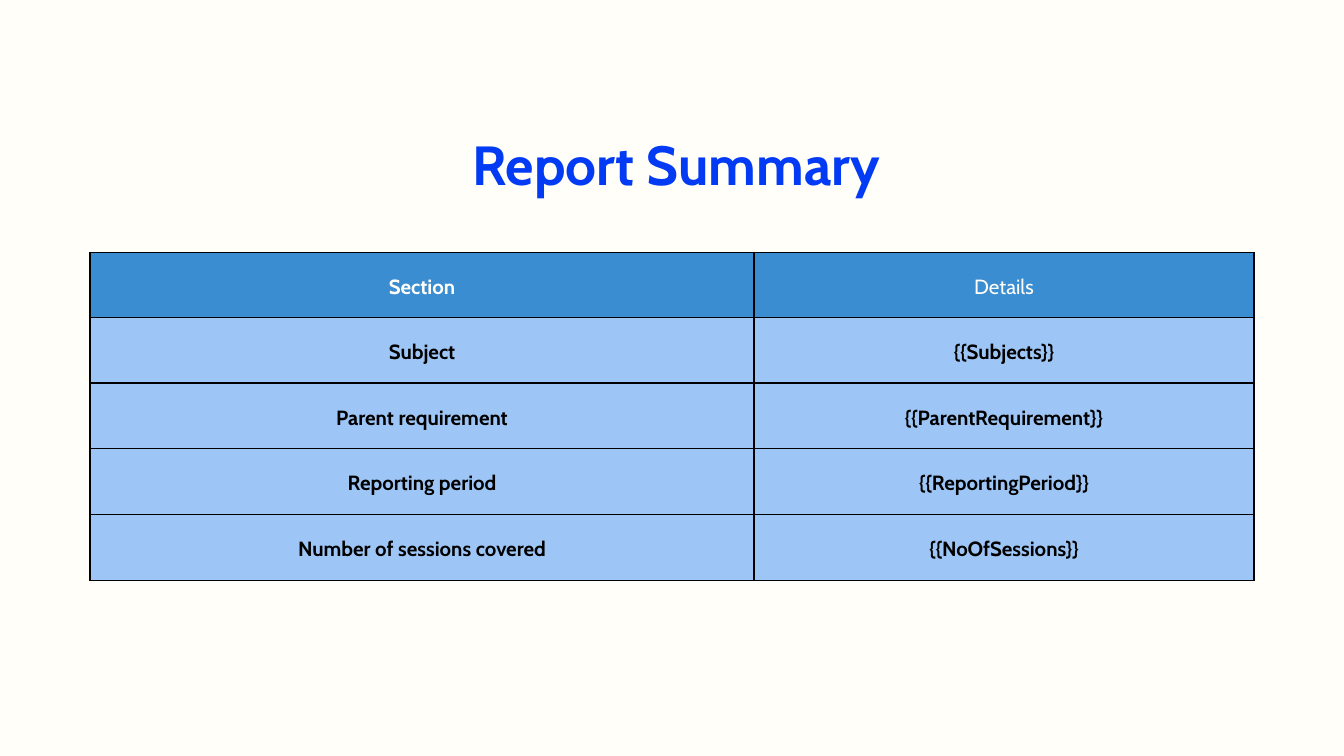
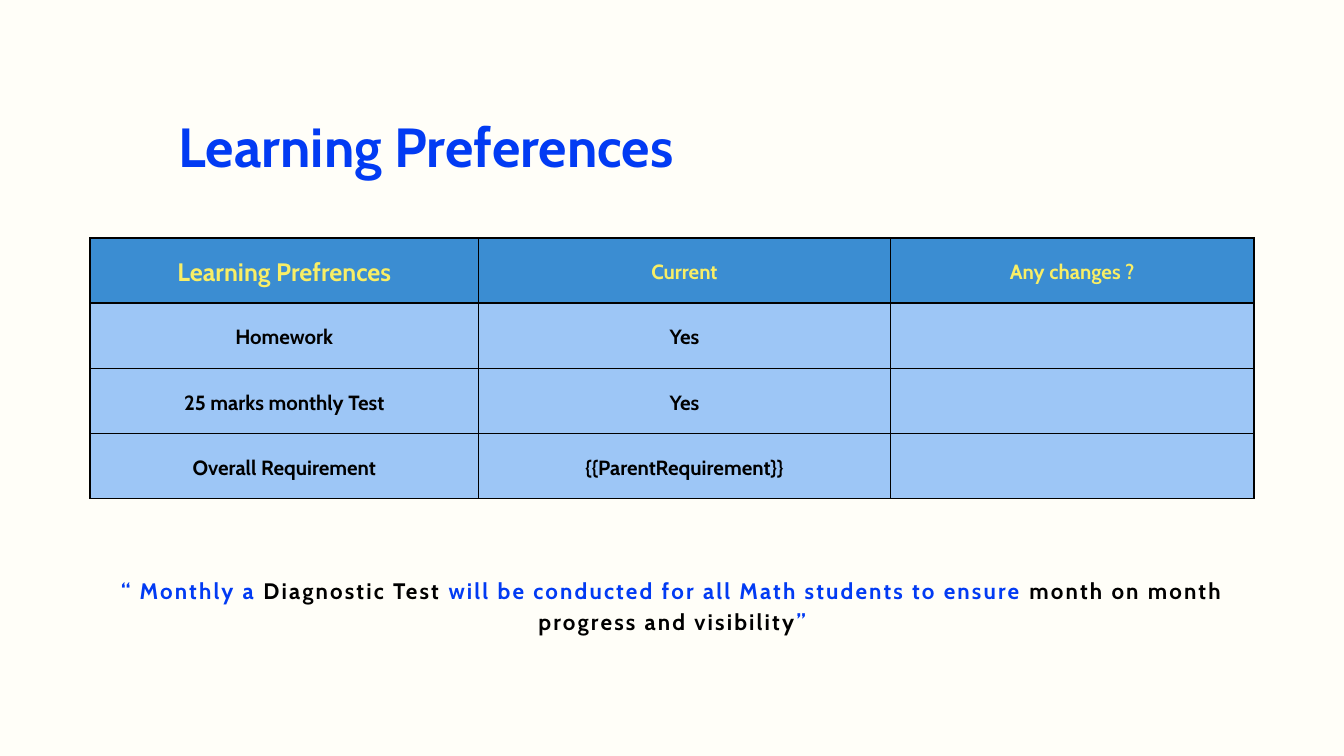
"""Build the report summary and learning preferences slides."""
from dataclasses import dataclass

from lxml.etree import SubElement
from pptx import Presentation
from pptx.dml.color import RGBColor
from pptx.enum.text import MSO_ANCHOR, MSO_AUTO_SIZE, PP_ALIGN
from pptx.oxml.ns import qn
from pptx.util import Pt

EMU_PER_PX = 9144


@dataclass(frozen=True)
class Theme:
    font: str = "Cabin"
    paper: str = "FFFEF8"
    blue: str = "023BF3"
    header: str = "3B8DD2"
    body: str = "9DC6F6"
    yellow: str = "F8EE66"
    black: str = "000000"
    title_size: int = 59
    quote_size: int = 24
    large_size: int = 27
    cell_size: int = 22
    title_leading: float = 82.6
    quote_leading: float = 33.6
    large_leading: float = 37.8
    cell_leading: float = 30.8
    quote_tracking: float = 2.3
    border: float = 1.5


THEME = Theme()
PAGE_SIZE = (2000, 1125)
TABLE_LEFT, TABLE_WIDTH = 134, 1732
CELL_MARGIN = 12

SUMMARY = {
    "title": ("Report Summary", (703, 177, 678, 110)),
    "top": 376,
    "columns": (988, 744),
    "row_heights": (97, 97, 98, 98, 98),
    "header_color": THEME.paper,
    "large_cells": (),
    "plain_cells": ("Details",),
    "rows": (
        ("Section", "Details"),
        ("Subject", "{{Subjects}}"),
        ("Parent requirement", "{{ParentRequirement}}"),
        ("Reporting period", "{{ReportingPeriod}}"),
        ("Number of sessions covered", "{{NoOfSessions}}"),
    ),
    "quote": (),
}
PREFERENCES = {
    "title": ("Learning Preferences", (266, 151, 1159, 110)),
    "top": 354,
    "columns": (578, 613, 541),
    "row_heights": (97,) * 4,
    "header_color": THEME.yellow,
    "large_cells": ("Learning Prefrences",),
    "plain_cells": (),
    "rows": (
        ("Learning Prefrences", "Current", "Any changes ?"),
        ("Homework", "Yes", ""),
        ("25 marks monthly Test", "Yes", ""),
        ("Overall Requirement", "{{ParentRequirement}}", ""),
    ),
    "quote": (
        ("“ Monthly a ", THEME.blue),
        ("Diagnostic Test", THEME.black),
        (" will be conducted for all Math students to ensure", THEME.blue),
        (" month on month progress and visibility", THEME.black),
        ("”", THEME.blue),
    ),
}
QUOTE_BOX = (TABLE_LEFT, 852, TABLE_WIDTH, 89)


def px(*lengths):
    return [length * EMU_PER_PX for length in lengths]


def set_margins(holder, margin):
    holder.margin_left = holder.margin_right = margin
    holder.margin_top = holder.margin_bottom = margin


def write(para, runs, size, leading, align, bold=True, tracking=0):
    para.alignment = align
    para.line_spacing = Pt(leading)
    for text, color in runs:
        span = para.add_run()
        span.text = text
        span.font.name = THEME.font
        span.font.size = Pt(size)
        span.font.bold = bold
        span.font.color.rgb = RGBColor.from_string(color)
        if tracking:
            span.font._element.set("spc", str(round(tracking * 100)))


def add_text(page, place, runs, size, leading, align, tracking=0):
    box = page.shapes.add_textbox(*px(*place))
    frame = box.text_frame
    frame.word_wrap = True
    frame.auto_size = MSO_AUTO_SIZE.SHAPE_TO_FIT_TEXT
    set_margins(frame, 0)
    write(frame.paragraphs[0], runs, size, leading, align, tracking=tracking)


def add_borders(cell):
    properties = cell._tc.get_or_add_tcPr()
    for side in ("lnL", "lnR", "lnT", "lnB"):
        line = SubElement(properties, qn(f"a:{side}"), w=str(Pt(THEME.border)))
        fill = SubElement(line, qn("a:solidFill"))
        SubElement(fill, qn("a:srgbClr"), val=THEME.black)


def fill_cell(cell, text, is_header, content):
    add_borders(cell)
    cell.fill.solid()
    cell.fill.fore_color.rgb = RGBColor.from_string(THEME.header if is_header else THEME.body)
    cell.vertical_anchor = MSO_ANCHOR.MIDDLE
    set_margins(cell, *px(CELL_MARGIN))
    if text:
        is_large = text in content["large_cells"]
        write(
            cell.text_frame.paragraphs[0],
            [(text, content["header_color"] if is_header else THEME.black)],
            THEME.large_size if is_large else THEME.cell_size,
            THEME.large_leading if is_large else THEME.cell_leading,
            PP_ALIGN.CENTER,
            bold=text not in content["plain_cells"],
        )


def add_grid(page, content):
    rows, columns, heights = content["rows"], content["columns"], content["row_heights"]
    place = px(TABLE_LEFT, content["top"], TABLE_WIDTH, sum(heights))
    table = page.shapes.add_table(len(rows), len(columns), *place).table
    for column, width in zip(table.columns, px(*columns)):
        column.width = width
    for row, height in zip(table.rows, px(*heights)):
        row.height = height
    for row_index, texts in enumerate(rows):
        for column_index, text in enumerate(texts):
            fill_cell(table.cell(row_index, column_index), text, row_index == 0, content)


def add_page(deck, content):
    page = deck.slides.add_slide(deck.slide_layouts[6])
    page.background.fill.solid()
    page.background.fill.fore_color.rgb = RGBColor.from_string(THEME.paper)
    add_grid(page, content)
    title, place = content["title"]
    add_text(page, place, [(title, THEME.blue)], THEME.title_size,
             THEME.title_leading, PP_ALIGN.LEFT)
    if content["quote"]:
        add_text(page, QUOTE_BOX, content["quote"], THEME.quote_size,
                 THEME.quote_leading, PP_ALIGN.CENTER, THEME.quote_tracking)


def main():
    deck = Presentation()
    deck.slide_width, deck.slide_height = px(*PAGE_SIZE)
    for content in (SUMMARY, PREFERENCES):
        add_page(deck, content)
    deck.save("out.pptx")


if __name__ == "__main__":
    main()
